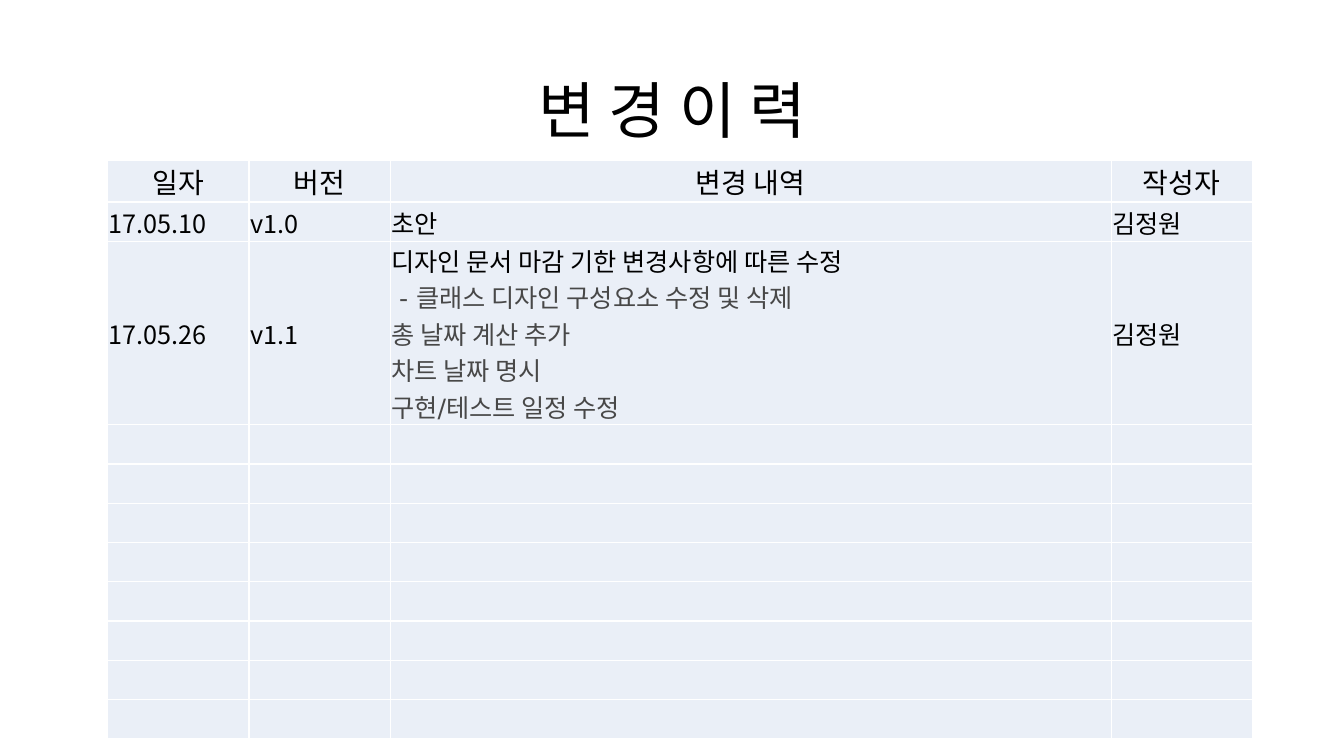
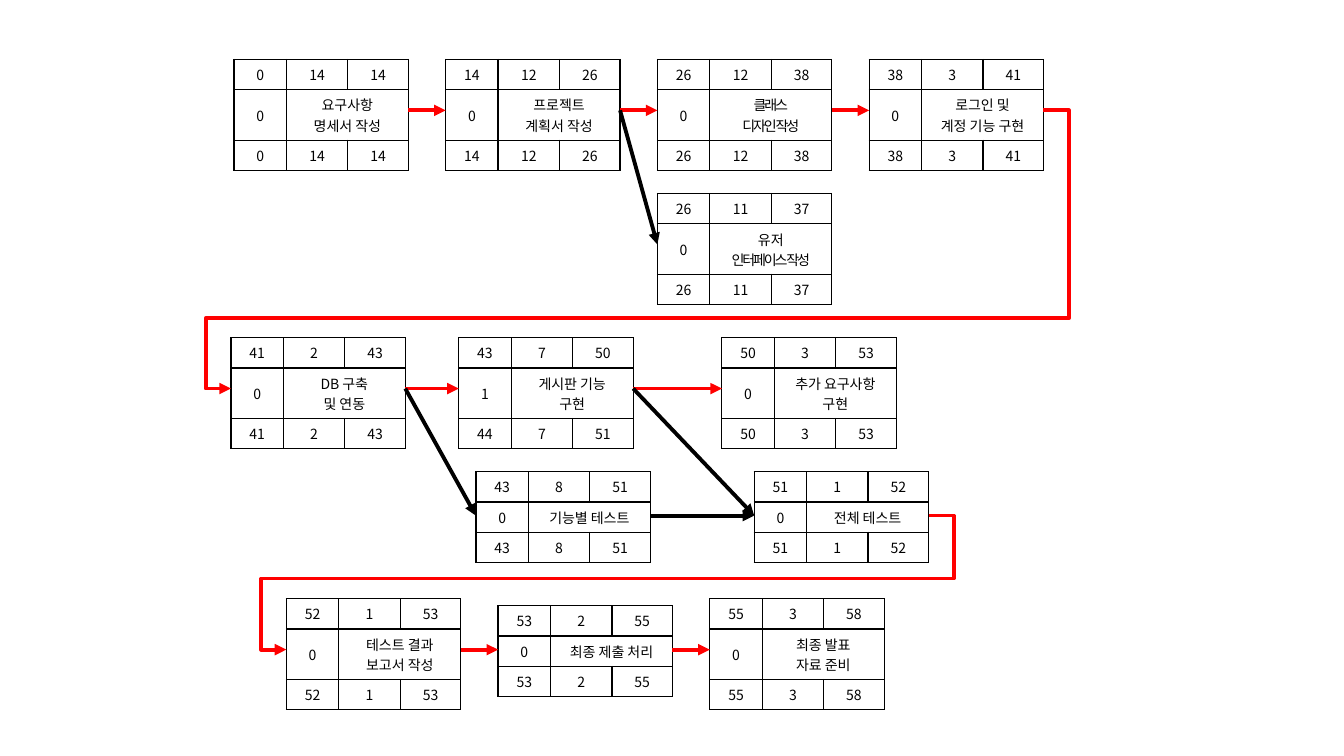
import pptx
import pptx.util
import pptx.dml.color
import pptx.enum.shapes
import pptx.enum.text
import pptx.oxml
import pptx.oxml.ns
from pptx.util import Inches

FONT = "Noto Sans CJK KR"
BLACK, WHITE, RED, GREY, PALE = "000000", "FFFFFF", "FF0000", "484848", "EAEFF7"
CENTER = pptx.enum.text.PP_ALIGN.CENTER
LEFT = pptx.enum.text.PP_ALIGN.LEFT
MIDDLE = pptx.enum.text.MSO_ANCHOR.MIDDLE

TITLE = "변 경 이 력"
HISTORY_COLUMNS = (1.4, 1.4, 7.15, 1.4)
HISTORY_HEADER = ("일자", "버전", "변경 내역", "작성자")
HISTORY = [
    ("17.05.10", "v1.0", ["초안"], "김정원"),
    ("17.05.26", "v1.1", [
        "디자인 문서 마감 기한 변경사항에 따른 수정",
        " - 클래스 디자인 구성요소 수정 및 삭제",
        "총 날짜 계산 추가",
        "차트 날짜 명시",
        "구현/테스트 일정 수정",
    ], "김정원"),
]
EMPTY_ROWS = 8
HISTORY_ROW = 0.39

TASK_COLUMNS = (0.52, 0.61, 0.6)
TASK_ROW = 0.29
TASK_TALL_ROW = 0.43
TASKS = {
    "requirements": (2.32, 0.59, 0, 14, 0, ["요구사항", "명세서 작성"]),
    "plan": (4.42, 0.59, 14, 12, 0, ["프로젝트", "계획서 작성"]),
    "classes": (6.52, 0.59, 26, 12, 0, ["클래스", "디자인 작성"]),
    "login": (8.62, 0.59, 38, 3, 0, ["로그인 및", "계정 기능 구현"]),
    "interface": (6.52, 1.92, 26, 11, 0, ["유저", "인터페이스 작성"]),
    "database": (2.29, 3.35, 41, 2, 0, ["DB 구축", "및 연동"]),
    "board": (4.55, 3.35, 43, 7, 1, ["게시판 기능", "구현"]),
    "extras": (7.16, 3.35, 50, 3, 0, ["추가 요구사항", "구현"]),
    "unit_test": (4.72, 4.68, 43, 8, 0, ["기능별 테스트"]),
    "full_test": (7.48, 4.68, 51, 1, 0, ["전체 테스트"]),
    "report": (2.84, 5.94, 52, 1, 0, ["테스트 결과", "보고서 작성"]),
    "submission": (4.94, 6.01, 53, 2, 0, ["최종 제출 처리"]),
    "presentation": (7.04, 5.94, 55, 3, 0, ["최종 발표", "자료 준비"]),
}
TIGHT_LINES = ("클래스", "디자인 작성", "인터페이스 작성")
ARROWS = [
    ("requirements", "plan", RED),
    ("plan", "classes", RED),
    ("plan", "interface", BLACK),
    ("classes", "login", RED),
    ("report", "submission", RED),
    ("submission", "presentation", RED),
    ("database", "board", RED),
    ("database", "unit_test", BLACK),
    ("board", "extras", RED),
    ("unit_test", "full_test", BLACK),
    ("board", "full_test", BLACK),
]
RETURNS = [("login", "database", 3.16), ("full_test", "report", 5.74)]
OVERHANG = 0.25


def color(value):
    return pptx.dml.color.RGBColor.from_string(value)


def write(frame, lines, size=18, colors=(BLACK,), fonts=(FONT,), align=LEFT,
          spacing=None, tight=()):
    for index, line in enumerate(lines):
        paragraph = frame.paragraphs[0] if index == 0 else frame.add_paragraph()
        paragraph.alignment = align
        paragraph.line_spacing = spacing
        run = paragraph.add_run()
        run.text = line
        run.font.size = pptx.util.Pt(size)
        run.font.name = fonts[min(index, len(fonts) - 1)]
        run.font.color.rgb = color(colors[min(index, len(colors) - 1)])
        properties = run.font._element
        if line in tight:
            properties.set("spc", "-150")
        east_asian = pptx.oxml.parse_xml(
            f'<a:ea {pptx.oxml.ns.nsdecls("a")} typeface="{FONT}"/>')
        properties.find(pptx.oxml.ns.qn("a:latin")).addnext(east_asian)


def add_grid(slide, left, top, columns, rows, border, fill=None, margins=None):
    shape = slide.shapes.add_table(len(rows), len(columns), Inches(left), Inches(top),
                                   Inches(sum(columns)), Inches(sum(rows)))
    table = shape.table
    table.first_row = table.horz_banding = False
    for column, width in zip(table.columns, columns):
        column.width = Inches(width)
    for row, height in zip(table.rows, rows):
        row.height = Inches(height)
    for cell in table.iter_cells():
        cell.vertical_anchor = MIDDLE
        if margins:
            cell.margin_left, cell.margin_top, cell.margin_right, cell.margin_bottom = map(
                Inches, margins)
        if fill:
            cell.fill.solid()
            cell.fill.fore_color.rgb = color(fill)
        else:
            cell.fill.background()
        properties = cell._tc.get_or_add_tcPr()
        for index, side in enumerate(("lnL", "lnR", "lnT", "lnB")):
            properties.insert(index, pptx.oxml.parse_xml(
                f'<a:{side} {pptx.oxml.ns.nsdecls("a")} w="12700"><a:solidFill>'
                f'<a:srgbClr val="{border}"/></a:solidFill></a:{side}>'))
    return table


def task_rows(label):
    return TASK_ROW, TASK_TALL_ROW if len(label) > 1 else TASK_ROW, TASK_ROW


def add_task(slide, left, top, start, duration, slack, label):
    table = add_grid(slide, left, top, TASK_COLUMNS, task_rows(label), BLACK)
    table.cell(1, 1).merge(table.cell(1, 2))
    finish = start + duration
    for row, values in ((0, (start, duration, finish)), (1, (slack,)),
                        (2, (start + slack, duration, finish + slack))):
        for column, value in enumerate(values):
            write(table.cell(row, column).text_frame, [str(value)], size=10, align=CENTER)
    write(table.cell(1, 1).text_frame, label, size=10, align=CENTER, tight=TIGHT_LINES)


def port(name, right=False):
    left, top, *_, label = TASKS[name]
    return left + right * sum(TASK_COLUMNS), top + sum(task_rows(label)) / 2


def add_arrow(slide, source, target, line_color, via=None):
    kinds = pptx.enum.shapes.MSO_CONNECTOR
    start, end = port(source, right=True), port(target)
    connector = slide.shapes.add_connector(kinds.STRAIGHT if via is None else kinds.ELBOW,
                                           *map(Inches, start + end))
    connector.line.color.rgb = color(line_color)
    connector.line.width = pptx.util.Pt(2.75)
    namespace = pptx.oxml.ns.nsdecls("a")
    connector.line._get_or_add_ln().append(
        pptx.oxml.parse_xml(f'<a:tailEnd {namespace} type="triangle"/>'))
    properties = connector._element.spPr
    properties.append(pptx.oxml.parse_xml(f"<a:effectLst {namespace}/>"))
    if via is not None:
        side = OVERHANG / (start[0] - end[0])
        bends = (-side, (via - start[1]) / (end[1] - start[1]), 1 + side)
        guides = "".join(f'<a:gd name="adj{number}" fmla="val {round(bend * 100000)}"/>'
                         for number, bend in enumerate(bends, 1))
        geometry = properties.find(pptx.oxml.ns.qn("a:prstGeom"))
        properties.replace(geometry, pptx.oxml.parse_xml(
            f'<a:prstGeom {namespace} prst="bentConnector5">'
            f"<a:avLst>{guides}</a:avLst></a:prstGeom>"))


def build_history(presentation):
    slide = presentation.slides.add_slide(presentation.slide_layouts[5])
    title = slide.shapes.title
    title.left, title.top, title.width, title.height = map(Inches, (0.92, 0.4, 11.5, 1.45))
    title.text_frame.vertical_anchor = MIDDLE
    write(title.text_frame, [TITLE], size=44, align=CENTER, spacing=0.9)
    heights = [HISTORY_ROW] * (1 + len(HISTORY) + EMPTY_ROWS)
    heights[2] = 1.21
    table = add_grid(slide, 1.07, 1.59, HISTORY_COLUMNS, heights, WHITE, PALE,
                     (0.01, 0.01, 0.01, 0))
    for column, text in enumerate(HISTORY_HEADER):
        write(table.cell(0, column).text_frame, [text], size=20, align=CENTER)
    for row, entry in enumerate(HISTORY, 1):
        for column, value in enumerate(entry):
            lines = value if isinstance(value, list) else [value]
            write(table.cell(row, column).text_frame, lines,
                  colors=(BLACK, GREY), fonts=(FONT, "DejaVu Sans"))


def build_network(presentation):
    slide = presentation.slides.add_slide(presentation.slide_layouts[6])
    for task in TASKS.values():
        add_task(slide, *task)
    for source, target, line_color in ARROWS:
        add_arrow(slide, source, target, line_color)
    for source, target, via in RETURNS:
        add_arrow(slide, source, target, RED, via)


presentation = pptx.Presentation()
presentation.slide_width, presentation.slide_height = Inches(13.33), Inches(7.5)
build_history(presentation)
build_network(presentation)
presentation.save("out.pptx")
